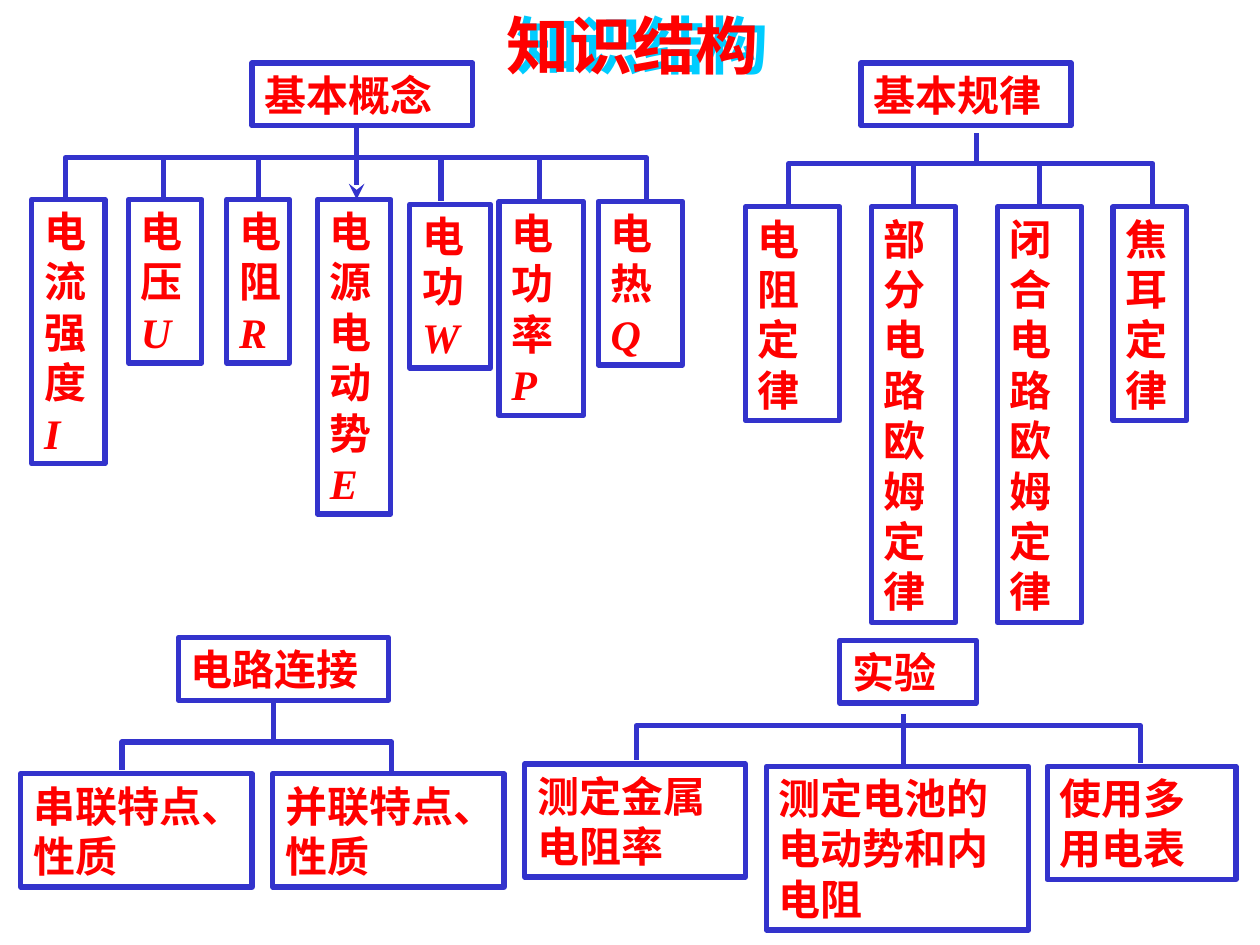
import pptx
import pptx.util
import pptx.dml.color
import pptx.enum.shapes
import pptx.enum.text
from lxml import etree
from pptx.util import Cm, Pt

COLORS = {"text": "FF0000", "line": "3333CC", "shadow": "00CCFF"}
FONT = "Times New Roman"
NS = "http://schemas.openxmlformats.org/drawingml/2006/main"
A = "{%s}" % NS


def rgb(name):
    return pptx.dml.color.RGBColor.from_string(COLORS[name])


def add_text(tf, runs, size):
    tf.word_wrap = True
    tf.vertical_anchor = pptx.enum.text.MSO_ANCHOR.TOP
    tf.auto_size = pptx.enum.text.MSO_AUTO_SIZE.NONE
    p = tf.paragraphs[0]
    p.alignment = pptx.enum.text.PP_ALIGN.LEFT
    for text, italic in runs:
        r = p.add_run()
        r.text = text
        r.font.name = FONT
        r.font.size = Pt(size)
        r.font.bold = True
        r.font.italic = italic
        r.font.color.rgb = rgb("text")


prs = pptx.Presentation()
prs.slide_width, prs.slide_height = Cm(25.4), Cm(19.05)
s = prs.slides.add_slide(prs.slide_layouts[5])

# Title with a coloured shadow
sp = s.shapes.title
sp.left, sp.top, sp.width, sp.height = Cm(9.96), Cm(0), Cm(6.15), Cm(1.78)
add_text(sp.text_frame, [("知识结构", False)], 36)
fx = etree.SubElement(sp._element.spPr, A + "effectLst")
shadow = etree.SubElement(fx, A + "outerShdw", dist=str(Cm(0.2)), dir="0",
                          algn="ctr", rotWithShape="0")
etree.SubElement(shadow, A + "srgbClr", val=COLORS["shadow"])

# Boxes: text, symbol, left, top, width, number of text lines
boxes = [
    # Basic concepts
    ("基本概念", "", 5.08, 1.27, 4.45, 1),
    ("电流强度", "I", 0.64, 4.02, 1.48, 5),
    ("电压", "U", 2.59, 4.02, 1.48, 3),
    ("电阻", "R", 4.57, 4.02, 1.27, 3),
    ("电源电动势", "E", 6.4, 4.02, 1.48, 6),
    ("电功", "W", 8.26, 4.12, 1.63, 3),
    ("电功率", "P", 10.06, 4.06, 1.7, 4),
    ("电热", "Q", 12.06, 4.06, 1.7, 3),
    # Basic laws
    ("基本规律", "", 17.36, 1.27, 4.23, 1),
    ("电阻定律", "", 15.03, 4.17, 1.9, 4),
    ("部分电路欧姆定律", "", 17.57, 4.17, 1.7, 8),
    ("闭合电路欧姆定律", "", 20.11, 4.17, 1.7, 8),
    ("焦耳定律", "", 22.44, 4.17, 1.48, 4),
    # Circuit connections
    ("电路连接", "", 3.6, 12.85, 4.23, 1),
    ("串联特点、性质", "", 0.42, 15.6, 4.66, 2),
    ("并联特点、性质", "", 5.5, 15.6, 4.66, 2),
    # Experiments
    ("实验", "", 16.93, 12.91, 2.75, 1),
    ("测定金属电阻率", "", 10.58, 15.4, 4.45, 2),
    ("测定电池的电动势和内电阻", "", 15.45, 15.45, 5.29, 3),
    ("使用多用电表", "", 21.11, 15.45, 3.81, 2),
]
for text, symbol, x, y, w, lines in boxes:
    h = Cm(0.25) + int(lines * Pt(24) * 1.2)
    sp = s.shapes.add_shape(pptx.enum.shapes.MSO_SHAPE.RECTANGLE,
                            Cm(x), Cm(y), Cm(w), h)
    sp.shadow.inherit = False
    sp.fill.background()
    sp.line.color.rgb = rgb("line")
    sp.line.width = Pt(3)
    runs = [(text, False)] + ([(symbol, True)] if symbol else [])
    add_text(sp.text_frame, runs, 24)

# Brackets: left, right, top, end of left leg, end of right leg
for x1, x2, y, y1, y2 in [
    (1.32, 13.03, 3.18, 3.99, 4.04),
    (15.9, 23.24, 3.3, 4.14, 4.14),
    (2.46, 7.9, 14.96, 15.52, 15.57),
    (12.83, 22.99, 14.63, 15.32, 15.39),
]:
    fb = s.shapes.build_freeform(Cm(x1), Cm(y1))
    fb.add_line_segments([(Cm(x1), Cm(y)), (Cm(x2), Cm(y)), (Cm(x2), Cm(y2))],
                         close=False)
    sp = fb.convert_to_shape()
    sp.shadow.inherit = False
    sp.fill.background()
    sp.line.color.rgb = rgb("line")
    sp.line.width = Pt(3)

# Vertical stems and drops: x, start, end, arrow at the end
for x, y1, y2, arrow in [
    (7.19, 2.54, 4.02, True),
    (3.3, 3.18, 4.02, False),
    (5.21, 3.18, 4.02, False),
    (8.89, 3.23, 4.06, False),
    (10.87, 3.18, 4.02, False),
    (19.69, 2.69, 3.33, False),
    (18.42, 3.33, 4.17, False),
    (20.96, 3.33, 4.17, False),
    (5.51, 14.12, 14.96, False),
    (18.21, 14.4, 15.44, False),
]:
    c = s.shapes.add_connector(pptx.enum.shapes.MSO_CONNECTOR.STRAIGHT,
                               Cm(x), Cm(y1), Cm(x), Cm(y2))
    c.line.color.rgb = rgb("line")
    c.line.width = Pt(3)
    if arrow:
        etree.SubElement(c.line._get_or_add_ln(), A + "tailEnd", type="stealth")
    etree.SubElement(c._element.spPr, A + "effectLst")

prs.save("out.pptx")
